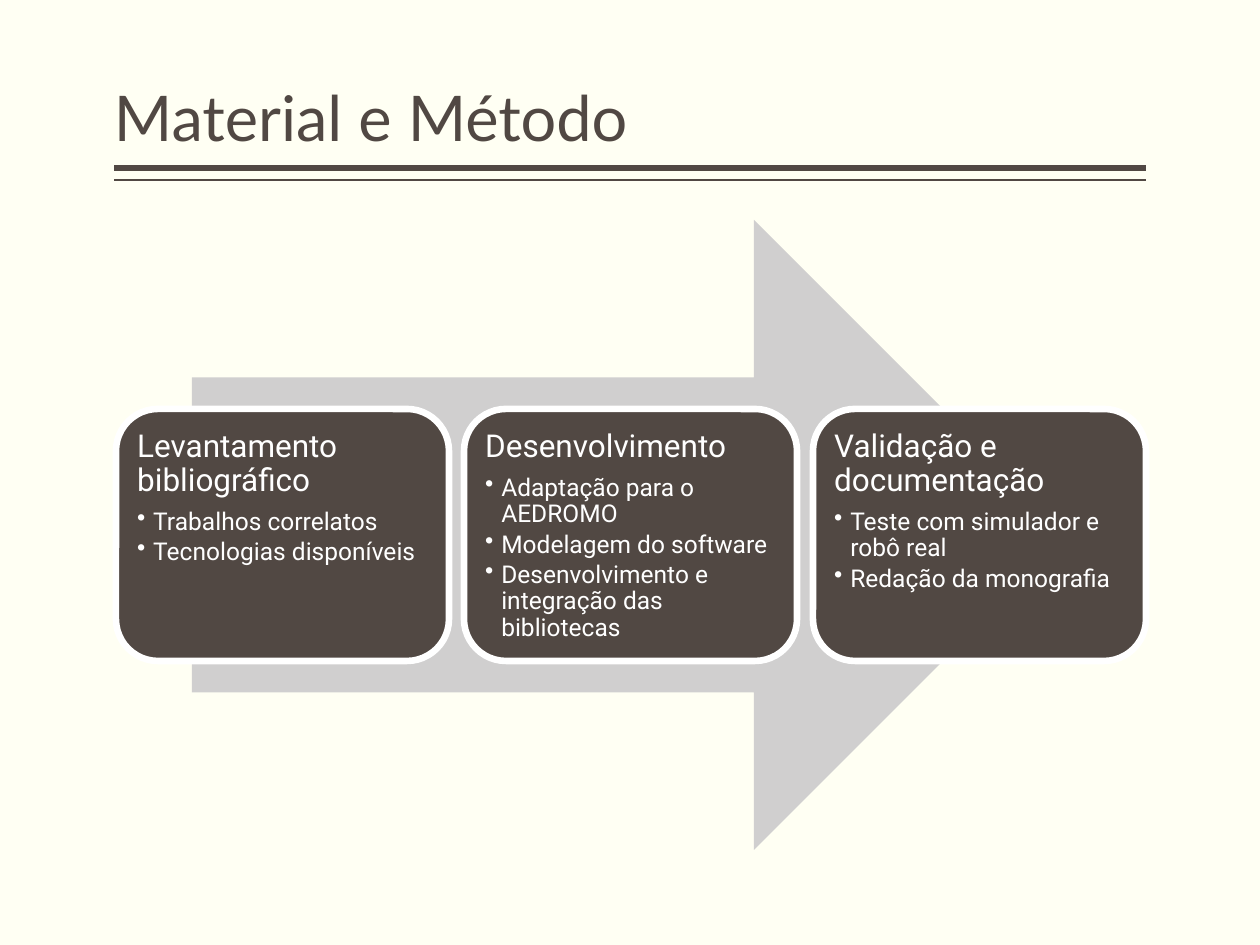
from dataclasses import dataclass

from lxml.etree import SubElement
from pptx import Presentation
from pptx.dml.color import RGBColor
from pptx.enum.shapes import MSO_CONNECTOR as Connector, MSO_SHAPE as Shape
from pptx.enum.text import MSO_ANCHOR as Anchor, MSO_AUTO_SIZE as AutoSize, PP_ALIGN as Align
from pptx.oxml.ns import qn
from pptx.util import Emu, Pt

EMU_PER_PX = 914400 / 126


def px(length):
    return Emu(round(length * EMU_PER_PX))


@dataclass(frozen=True)
class Theme:
    background: str = "FFFFF3"
    dark: str = "514843"
    arrow: str = "D0CFCF"
    white: str = "FFFFFF"
    title_font: str = "Lato"
    body_font: str = "Roboto"
    title_size: int = 36
    heading_size: int = 18
    item_size: int = 14


class SlideBuilder:
    def __init__(self, slide, theme):
        self.slide = slide
        self.theme = theme
        background = slide.background.fill
        background.solid()
        background.fore_color.rgb = RGBColor.from_string(theme.background)

    def add_run(self, paragraph, text, font, size, color):
        run = paragraph.add_run()
        run.text = text
        run.font.name = font
        run.font.size = Pt(size)
        run.font.color.rgb = RGBColor.from_string(color)

    def set_frame(self, frame, anchor, inset_x, inset_y):
        frame.word_wrap = True
        frame.auto_size = AutoSize.NONE
        frame.vertical_anchor = anchor
        frame.margin_left = frame.margin_right = px(inset_x)
        frame.margin_top = frame.margin_bottom = px(inset_y)

    def format_paragraph(self, paragraph, space_after=0):
        paragraph.alignment = Align.LEFT
        paragraph.line_spacing = 0.9
        paragraph.space_before = Pt(0)
        paragraph.space_after = Pt(space_after)

    def title(self, text, left, top, width, height):
        title = self.slide.shapes.title
        title.left, title.top, title.width, title.height = map(px, (left, top, width, height))
        self.set_frame(title.text_frame, Anchor.BOTTOM, 0, 6)
        paragraph = title.text_frame.paragraphs[0]
        self.format_paragraph(paragraph)
        self.add_run(paragraph, text, self.theme.title_font, self.theme.title_size, self.theme.dark)

    def rule(self, left, right, y, weight):
        line = self.slide.shapes.add_connector(
            Connector.STRAIGHT, px(right), px(y), px(left), px(y))
        line.line.color.rgb = RGBColor.from_string(self.theme.dark)
        line.line.width = Pt(weight)
        SubElement(line._element.spPr, qn("a:effectLst"))

    def shape(self, kind, left, top, width, height, fill):
        shape = self.slide.shapes.add_shape(kind, *map(px, (left, top, width, height)))
        shape.shadow.inherit = False
        shape.fill.solid()
        shape.fill.fore_color.rgb = RGBColor.from_string(fill)
        shape.line.fill.background()
        return shape

    def bullet(self, paragraph, indent):
        paragraph.level = 1
        properties = paragraph._p.get_or_add_pPr()
        properties.set("marL", str(px(indent)))
        properties.set("indent", str(-px(indent)))
        SubElement(properties, qn("a:buChar")).set("char", "•")

    def card(self, heading, items, left, top, width, height):
        theme = self.theme
        card = self.shape(Shape.ROUNDED_RECTANGLE, left, top, width, height, theme.dark)
        card.line.color.rgb = RGBColor.from_string(theme.white)
        card.line.width = Pt(3.78)
        frame = card.text_frame
        self.set_frame(frame, Anchor.TOP, 9, 9)
        paragraph = frame.paragraphs[0]
        self.format_paragraph(paragraph, space_after=6.3)
        self.add_run(paragraph, heading, theme.body_font, theme.heading_size, theme.white)
        for item in items:
            paragraph = frame.add_paragraph()
            self.format_paragraph(paragraph, space_after=2.1)
            self.bullet(paragraph, indent=16)
            self.add_run(paragraph, item, theme.body_font, theme.item_size, theme.white)


STAGES = [
    ("Levantamento bibliográfico",
     ["Trabalhos correlatos", "Tecnologias disponíveis"]),
    ("Desenvolvimento",
     ["Adaptação para o AEDROMO", "Modelagem do software",
      "Desenvolvimento e integração das bibliotecas"]),
    ("Validação e documentação",
     ["Teste com simulador e robô real", "Redação da monografia"]),
]


def main():
    presentation = Presentation()
    presentation.slide_width, presentation.slide_height = px(1260), px(945)
    theme = Theme()
    title_only = presentation.slide_layouts[5]
    builder = SlideBuilder(presentation.slides.add_slide(title_only), theme)

    # Title with its double rule
    builder.rule(114, 1146, y=168, weight=3)
    builder.rule(114, 1146, y=180, weight=1)
    builder.title("Material e Método", 114, 10, 1032, 151)

    # Process arrow behind the stages
    builder.shape(Shape.RIGHT_ARROW, 192, 220, 877, 630, theme.arrow)

    # Stage cards, spread evenly over the row
    row_left, row_width, card_width = 116, 1030, 333
    pitch = (row_width - card_width) / (len(STAGES) - 1)
    for index, (heading, items) in enumerate(STAGES):
        left = round(row_left + index * pitch)
        builder.card(heading, items, left, 409, card_width, 252)

    presentation.save("out.pptx")


if __name__ == "__main__":
    main()
